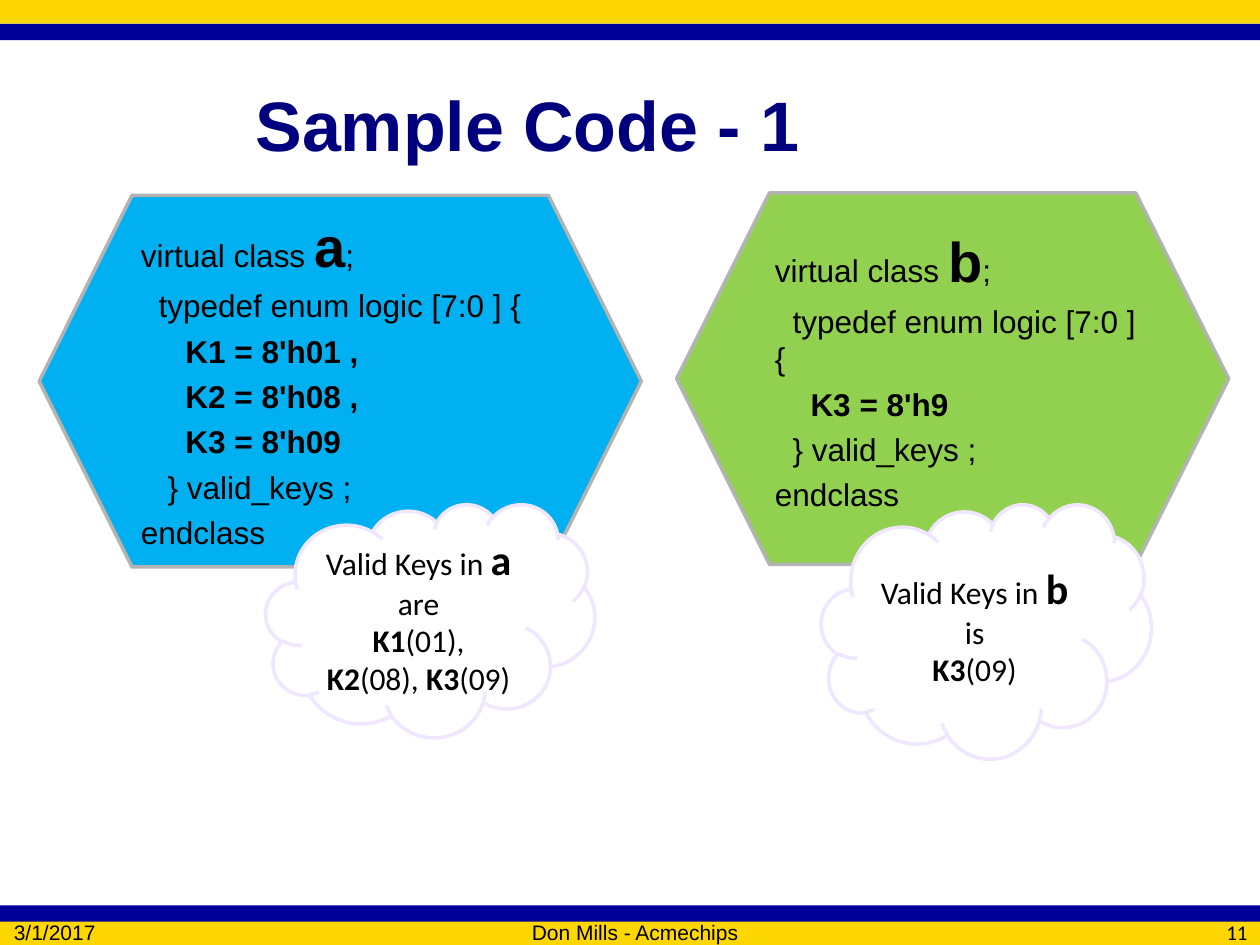
from dataclasses import dataclass

from pptx import Presentation
from pptx import util as u
from pptx.dml.color import RGBColor
from pptx.enum import shapes, text


@dataclass(frozen=True)
class Theme:
    gold: str = "FFD700"
    navy: str = "000099"
    title: str = "00007F"
    ink: str = "000000"
    white: str = "FFFFFF"
    green: str = "92D050"
    blue: str = "00B0F0"
    gray: str = "B3B3B3"
    lilac: str = "F0E6FF"
    sans: str = "Arial"
    note: str = "Calibri"
    title_size: int = 40
    code_name: int = 32
    note_name: int = 24
    body: int = 18
    footer: int = 12
    code_gap: float = 4.3
    space: float = 0.18


LEFT, CENTER, RIGHT = text.PP_ALIGN.LEFT, text.PP_ALIGN.CENTER, text.PP_ALIGN.RIGHT
MIDDLE, TOP = text.MSO_ANCHOR.MIDDLE, text.MSO_ANCHOR.TOP
KIND = shapes.MSO_SHAPE


class SlideBuilder:
    def __init__(self, slide, theme):
        self.slide = slide
        self.theme = theme

    def shape(self, kind, place, fill, line=None):
        shape = self.slide.shapes.add_shape(kind, *map(u.Cm, place))
        shape.shadow.inherit = False
        shape.fill.solid()
        shape.fill.fore_color.rgb = RGBColor.from_string(fill)
        if line:
            shape.line.color.rgb = RGBColor.from_string(line)
            shape.line.width = u.Pt(2)
        else:
            shape.line.fill.background()
        return shape

    def fill_text(self, box, paragraphs, font, align=LEFT, anchor=MIDDLE, color=None):
        frame = box.text_frame
        frame.word_wrap = True
        frame.vertical_anchor = anchor
        for index, spans in enumerate(paragraphs):
            para = frame.paragraphs[0] if index == 0 else frame.add_paragraph()
            para.alignment = align
            for words, size, bold in spans:
                span = para.add_run()
                span.text = words
                span.font.name = font
                span.font.size = u.Pt(size)
                span.font.bold = bold
                span.font.color.rgb = RGBColor.from_string(color or self.theme.ink)
        return frame.paragraphs

    def label(self, place, words, size, font, align=LEFT, bold=False, color=None):
        box = self.slide.shapes.add_textbox(*map(u.Cm, place))
        self.fill_text(box, [[(words, size, bold)]], font, align, color=color)

    def code(self, place, name, lines):
        theme = self.theme
        box = self.slide.shapes.add_textbox(*map(u.Cm, place))
        heading = [("virtual class ", theme.body, False),
                   (name, theme.code_name, True),
                   (";", theme.body, False)]
        rows = [[(words, theme.body, bold)] for _, words, bold in lines]
        paras = self.fill_text(box, [heading] + rows, theme.sans, anchor=TOP)
        for para, depth in zip(paras, [0] + [line[0] for line in lines]):
            para.space_before = u.Pt(theme.code_gap)
            properties = para._p.get_or_add_pPr()
            properties.set("marL", "0")
            properties.set("indent", str(u.Cm(depth * theme.space)))

    def cloud(self, place, name, verb, keys):
        theme = self.theme
        cloud = self.shape(KIND.CLOUD, place, theme.white, theme.lilac)
        heading = [("Valid Keys in ", theme.body, False),
                   (name, theme.note_name, True),
                   (f" {verb}", theme.body, False)]
        spans = []
        for index, (key, value) in enumerate(keys):
            comma = ", " if index < len(keys) - 1 else ""
            spans += [(key, theme.body, True), (f"({value}){comma}", theme.body, False)]
        self.fill_text(cloud, [heading, spans], theme.note, CENTER)


def main():
    theme = Theme()
    deck = Presentation()
    deck.slide_width, deck.slide_height = u.Cm(25.4), u.Cm(19.05)
    page = SlideBuilder(deck.slides.add_slide(deck.slide_layouts[6]), theme)

    for top, height, color in ((0, 0.48, theme.gold), (0.48, 0.33, theme.navy),
                               (18.57, 0.48, theme.gold), (18.25, 0.33, theme.navy)):
        page.shape(KIND.RECTANGLE, (0, top, 25.4, height), color)

    page.label((4.9, 0.91, 20.07, 3.18), "Sample Code - 1", theme.title_size,
               theme.sans, bold=True, color=theme.title)
    for left, width, words, font, align in (
            (0.03, 2.95, "3/1/2017", theme.sans, LEFT),
            (3.18, 19.25, "Don Mills - Acmechips", theme.sans, CENTER),
            (22.86, 2.54, "11", theme.note, RIGHT)):
        page.label((left, 18.57, width, 0.43), words, theme.footer, font, align)

    page.shape(KIND.HEXAGON, (13.64, 3.89, 11.13, 7.49), theme.green, theme.gray)
    page.shape(KIND.HEXAGON, (0.79, 3.94, 12.14, 7.49), theme.blue, theme.gray)

    opening = (2, "typedef enum logic [7:0 ] {", False)
    closing = "} valid_keys ;"
    ending = (0, "endclass", False)
    page.code((2.59, 4.14, 10.13, 5.72), "a",
              [opening, (5, "K1 = 8'h01 ,", True), (5, "K2 = 8'h08 ,", True),
               (5, "K3 = 8'h09", True), (3, closing, False), ending])
    page.code((15.37, 4.45, 8.03, 5.72), "b",
              [opening, (4, "K3 = 8'h9", True), (2, closing, False), ending])

    page.cloud((5.36, 10.16, 6.63, 4.7), "a", "are",
               [("K1", "01"), ("K2", "08"), ("K3", "09")])
    page.cloud((16.56, 10.16, 6.65, 5.13), "b", "is", [("K3", "09")])

    deck.save("out.pptx")


if __name__ == "__main__":
    main()
